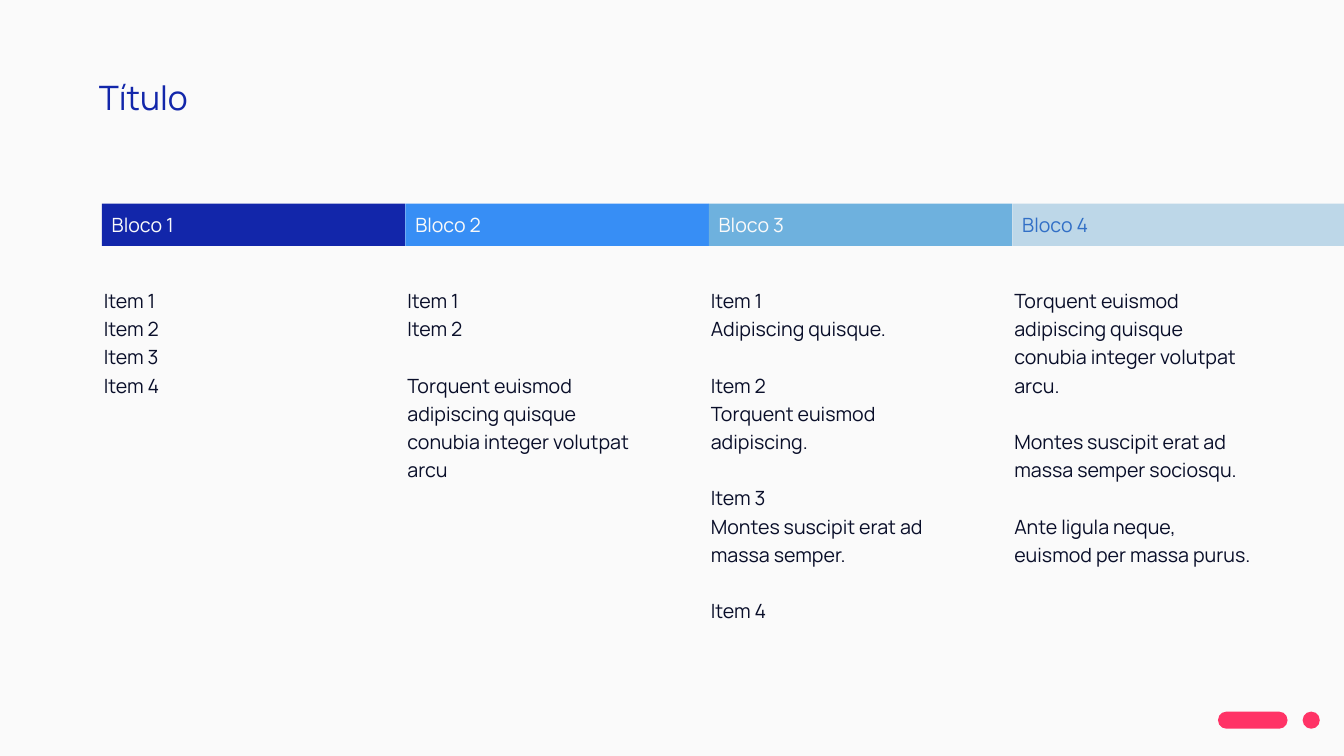
from dataclasses import dataclass

from lxml import etree
from pptx import Presentation
from pptx import util as u
from pptx.dml.color import RGBColor
from pptx.enum import shapes, text
from pptx.oxml import ns


@dataclass(frozen=True)
class Theme:
    """Colours, type sizes and font of the slide."""
    font: str = "Manrope"
    paper: str = "FAFAFA"
    ink: str = "090E29"
    navy: str = "1226AA"
    pink: str = "FF3366"
    head: int = 24
    text: int = 14
    gap: float = 20.15


LOOK = Theme()
BLOCKS = [
    ("Bloco 1", LOOK.navy, LOOK.paper,
     [["Item 1", "Item 2", "Item 3", "Item 4"]]),
    ("Bloco 2", "378EF5", LOOK.paper,
     [["Item 1", "Item 2"],
      ["Torquent euismod adipiscing quisque conubia integer volutpat arcu"]]),
    ("Bloco 3", "6EB1DE", LOOK.paper,
     [["Item 1", "Adipiscing quisque."],
      ["Item 2", "Torquent euismod adipiscing."],
      ["Item 3", "Montes suscipit erat ad massa semper."],
      ["Item 4"]]),
    ("Bloco 4", "BDD7E8", "316FC6",
     [["Torquent euismod adipiscing quisque conubia integer volutpat arcu."],
      ["Montes suscipit erat ad massa semper sociosqu."],
      ["Ante ligula neque, euismod per massa purus."]]),
]


def place(shape, box):
    """Move a shape to a box given in inches."""
    shape.left, shape.top, shape.width, shape.height = map(u.Inches, box)


def frame(shape, inset, anchor):
    """Set the insets and anchor of a text frame and return it."""
    tf = shape.text_frame
    tf.word_wrap = True
    tf.auto_size = text.MSO_AUTO_SIZE.NONE
    tf.vertical_anchor = anchor
    tf.margin_left = tf.margin_right = u.Inches(0.1)
    tf.margin_top = tf.margin_bottom = u.Inches(inset)
    return tf


def write(para, words, size, color):
    """Add one left-aligned run to a paragraph."""
    para.alignment = text.PP_ALIGN.LEFT
    run = para.add_run()
    run.text = words
    run.font.name = LOOK.font
    run.font.size = u.Pt(size)
    run.font.bold = False
    run.font.color.rgb = RGBColor.from_string(color)


def plain(para):
    """Strip the bullet and indent from a paragraph."""
    props = para._p.get_or_add_pPr()
    props.set("marL", "0")
    props.set("indent", "0")
    etree.SubElement(props, ns.qn("a:buNone"))


def solid(slide, kind, box, color):
    """Draw a flat shape without outline or shadow."""
    shape = slide.shapes.add_shape(kind, *map(u.Inches, box))
    shape.shadow.inherit = False
    shape.fill.solid()
    shape.fill.fore_color.rgb = RGBColor.from_string(color)
    shape.line.fill.background()
    return shape


def title(slide, box):
    """Fill the title placeholder."""
    shape = slide.shapes.title
    place(shape, box)
    tf = frame(shape, 0.1, text.MSO_ANCHOR.TOP)
    write(tf.paragraphs[0], "Título", LOOK.head, LOOK.navy)


def header(slide, box, label, fill, color):
    """Draw the coloured band above one column."""
    band = solid(slide, shapes.MSO_SHAPE.RECTANGLE, box, fill)
    tf = frame(band, 0.05, text.MSO_ANCHOR.MIDDLE)
    write(tf.paragraphs[0], label, LOOK.text, color)


def column(shape, box, groups):
    """Fill one body placeholder with spaced groups of lines."""
    place(shape, box)
    tf = frame(shape, 0.05, text.MSO_ANCHOR.TOP)
    lines = [(line, i > 0 and j == 0)
             for i, group in enumerate(groups)
             for j, line in enumerate(group)]
    for k, (line, gap) in enumerate(lines):
        para = tf.add_paragraph() if k else tf.paragraphs[0]
        plain(para)
        para.line_spacing = 1.2
        para.space_before = u.Pt(LOOK.gap if gap else 0)
        write(para, line, LOOK.text, LOOK.ink)


def blocks(slide, box):
    """Lay out the four headed columns, the last band reaching the edge."""
    left, top, width, height = box
    step = 3.01
    bodies = [p for p in slide.placeholders if p.placeholder_format.idx > 0]
    for i, (label, fill, color, groups) in enumerate(BLOCKS):
        x = left + i * step
        wide = step if i < len(BLOCKS) - 1 else left + width - x
        header(slide, (x, top, wide, 0.42), label, fill, color)
        column(bodies[i], (x - 0.08, top + 0.75, 2.61, height - 0.75), groups)


def marks(slide, box):
    """Draw the pill and dot in the corner."""
    left, top, width, size = box
    for x, wide in ((left, 0.69), (left + width - size, size)):
        pill = solid(slide, shapes.MSO_SHAPE.ROUNDED_RECTANGLE,
                     (x, top, wide, size), LOOK.pink)
        pill.adjustments[0] = 0.5


def main():
    """Build and save the slide."""
    deck = Presentation()
    deck.slide_width, deck.slide_height = u.Inches(13.33), u.Inches(7.5)
    slide = deck.slides.add_slide(deck.slide_layouts.get_by_name("Comparison"))
    back = slide.background.fill
    back.solid()
    back.fore_color.rgb = RGBColor.from_string(LOOK.paper)
    marks(slide, (12.08, 7.06, 1.01, 0.17))
    title(slide, (0.88, 0.66, 7.09, 0.61))
    blocks(slide, (1.01, 2.02, 12.32, 4.23))
    deck.save("out.pptx")


if __name__ == "__main__":
    main()
